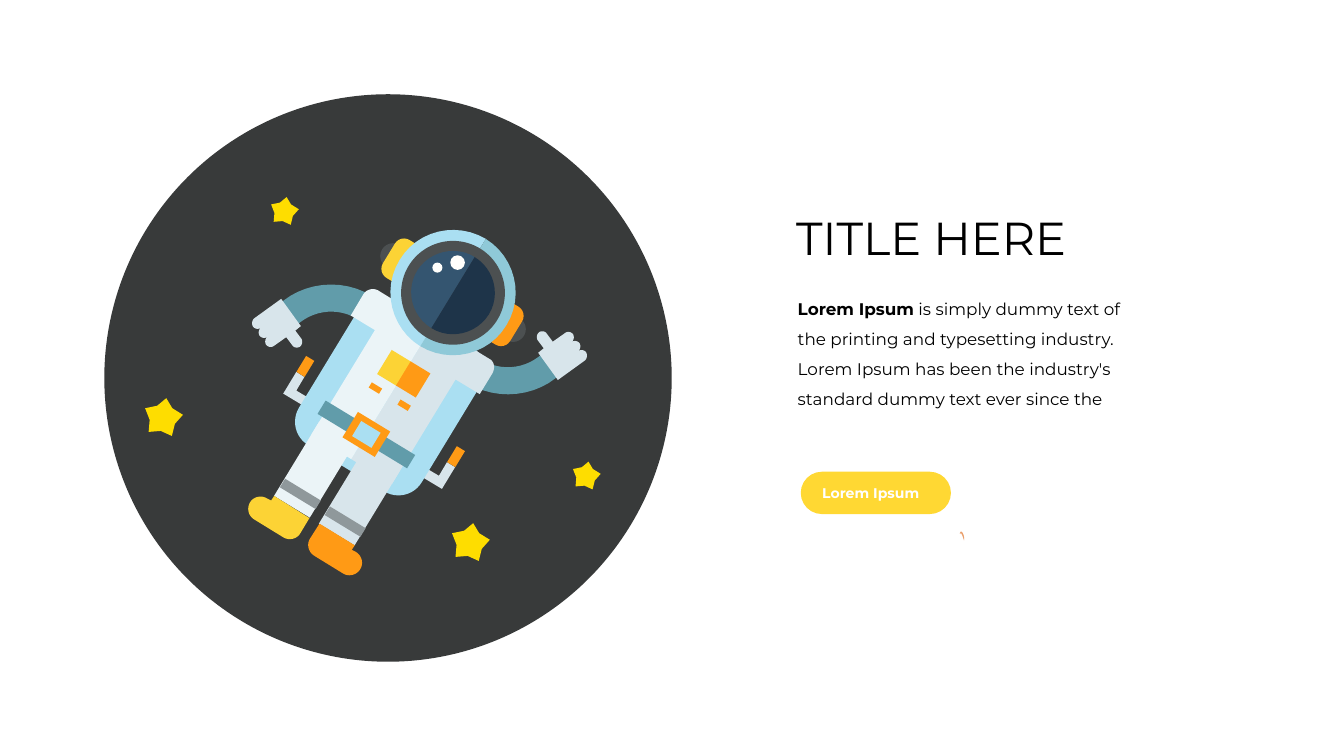
import pptx
import pptx.dml.color
import pptx.enum.shapes
import pptx.enum.text
import pptx.oxml
import pptx.util
from pptx.dml.color import RGBColor
from pptx.util import Inches

SPACE = RGBColor(0x38, 0x3A, 0x3A)
STAR = RGBColor(0xFE, 0xDD, 0x00)
YELLOW = RGBColor(0xFC, 0xD3, 0x35)
ORANGE = RGBColor(0xFF, 0x9A, 0x15)
PALE = RGBColor(0xEB, 0xF4, 0xF7)
SILVER = RGBColor(0xD8, 0xE5, 0xEB)
SKY = RGBColor(0xAA, 0xDF, 0xF2)
SKY_SHADE = RGBColor(0x8F, 0xC9, 0xD8)
TEAL = RGBColor(0x61, 0x9C, 0xAA)
GREY = RGBColor(0x8F, 0x98, 0x9B)
CHARCOAL = RGBColor(0x4C, 0x50, 0x51)
VISOR = RGBColor(0x34, 0x55, 0x70)
VISOR_SHADE = RGBColor(0x1E, 0x34, 0x49)
GLINT = RGBColor(0xFF, 0xFF, 0xFC)
BUTTON = RGBColor(0xFF, 0xD8, 0x33)
ACCENT = RGBColor(0xEA, 0x9F, 0x6C)
BLACK = RGBColor(0, 0, 0)
WHITE = RGBColor(0xFF, 0xFF, 0xFF)

FONT = "Montserrat"
TILT = 31.3
CURVE_STEPS = 12
RECTANGLE = pptx.enum.shapes.MSO_SHAPE.RECTANGLE
ROUNDED = pptx.enum.shapes.MSO_SHAPE.ROUNDED_RECTANGLE
OVAL = pptx.enum.shapes.MSO_SHAPE.OVAL

STAR_OUTLINE = [(0.75, 0.33), (0.59, 0.51), (0.53, 0.75), (0.31, 0.65), (0.07, 0.67),
                (0.09, 0.43), (0, 0.2), (0.24, 0.15), (0.42, 0), (0.54, 0.2)]
STARS = [(9.37, 8.16, 0.55), (6.97, 9.38, 0.75), (0.88, 6.9, 0.75),
         (3.38, 2.91, 0.55), ]
ARM = [(5.41, 4.89), (4.98, 5.27), (4.62, 5.11, 4.19, 5.17, 3.88, 5.46),
       (3.52, 5.06), (3.96, 4.62, 4.77, 4.48, 5.41, 4.89)]
HAND = [(3.02, 5.48), (3.06, 5.53, 3.13, 5.54, 3.18, 5.5),
        (3.13, 5.54, 3.12, 5.61, 3.15, 5.66), (3.19, 5.71, 3.26, 5.72, 3.31, 5.68),
        (3.26, 5.72, 3.25, 5.79, 3.28, 5.84), (3.32, 5.89, 3.39, 5.9, 3.44, 5.86),
        (3.68, 5.69), (3.8, 5.85), (3.83, 5.9, 3.9, 5.91, 3.95, 5.88),
        (4, 5.84, 4.01, 5.77, 3.98, 5.72), (3.86, 5.56), (3.97, 5.47),
        (3.58, 4.93), (3.04, 5.32), (3, 5.36, 2.99, 5.43, 3.02, 5.48)]
LEFT_HANDLE = [(3.88, 6.75), (4.04, 6.48), (3.88, 6.38), (3.62, 6.81), (4.37, 7.26), (4.47, 7.1)]
RIGHT_HANDLE = [(6.71, 8.44), (6.87, 8.17), (7.03, 8.27), (6.77, 8.7), (6.02, 8.25), (6.12, 8.09)]
RIGHT_SUIT = [(7.77, 6.41), (7.52, 6.82), (7.04, 6.53), (5.78, 8.6), (4.97, 8.11),
              (6.6, 5.44), (7.71, 6.12), (7.81, 6.17, 7.83, 6.3, 7.77, 6.41)]
LEFT_SUIT = [(6.6, 5.44), (4.97, 8.11), (4.18, 7.62), (5.44, 5.55), (4.96, 5.26),
             (5.21, 4.84), (5.27, 4.74, 5.4, 4.71, 5.5, 4.76)]
HELMET = [(7.64, 3.74), (6.34, 5.87), (5.76, 5.51, 5.57, 4.74, 5.93, 4.16),
          (6.28, 3.57, 7.05, 3.39, 7.64, 3.74)]
GLASS = [(7.42, 4.1), (6.56, 5.51), (6.17, 5.27, 6.04, 4.76, 6.28, 4.37),
         (6.52, 3.99, 7.03, 3.86, 7.42, 4.1)]
LEFT_BOOT = [(3.44, 8.84), (3.38, 8.93), (3.3, 8.89), (3.19, 8.82, 3.03, 8.85, 2.96, 8.97),
             (2.89, 9.09, 2.93, 9.24, 3.05, 9.31), (3.62, 9.66),
             (3.73, 9.73, 3.89, 9.7, 3.96, 9.58), (4.14, 9.28)]
RIGHT_BOOT = [(5.04, 9.82), (4.98, 9.91), (5.06, 9.95), (5.18, 10.02, 5.22, 10.18, 5.15, 10.29),
              (5.08, 10.41, 4.92, 10.45, 4.81, 10.38), (4.24, 10.03),
              (4.12, 9.96, 4.08, 9.8, 4.15, 9.69), (4.34, 9.39)]
ACCENT_OUTLINE = [(0, 0.03), (0, 0.02, 0.01, -0.01, 0.03, 0), (0.05, 0.01, 0.07, 0.05, 0.08, 0.1),
                  (0.09, 0.15, 0.08, 0.18, 0.08, 0.17), (0.07, 0.15, 0.06, 0.1, 0.03, 0.04),
                  (0.01, 0, 0, 0.08, 0, 0.03)]


def paint(shape, colour):
    shape.shadow.inherit = False
    shape.fill.solid()
    shape.fill.fore_color.rgb = colour
    shape.line.fill.background()


def flatten(outline):
    points = [outline[0]]
    for step in outline[1:]:
        if len(step) == 2:
            points.append(step)
            continue
        corners = [points[-1], step[:2], step[2:4], step[4:]]
        for index in range(1, CURVE_STEPS + 1):
            t = index / CURVE_STEPS
            weights = ((1 - t) ** 3, 3 * t * (1 - t) ** 2, 3 * t * t * (1 - t), t ** 3)
            points.append(tuple(sum(w * c[axis] for w, c in zip(weights, corners))
                                for axis in (0, 1)))
    return points


def turn_around(outline, sum_x, sum_y):
    return [tuple((sum_y if index % 2 else sum_x) - value for index, value in enumerate(step))
            for step in outline]


def add_outline(shapes, left, top, outline, colour, scale=1):
    points = [(Inches(left + x * scale), Inches(top + y * scale)) for x, y in flatten(outline)]
    builder = shapes.build_freeform(*points[0], scale=1.0)
    builder.add_line_segments(points[1:], close=True)
    paint(builder.convert_to_shape(), colour)


def add_illustration(page, left, top):
    shapes = page.shapes.add_group_shape().shapes

    def outline(points, colour):
        add_outline(shapes, left, top, points, colour)

    def part(kind, center_x, center_y, width, height, colour, corner=None):
        shape = shapes.add_shape(kind, Inches(left + center_x - width / 2),
                                 Inches(top + center_y - height / 2),
                                 Inches(width), Inches(height))
        if kind != OVAL:
            shape.rotation = TILT
        if corner is not None:
            shape.adjustments[0] = corner
        paint(shape, colour)

    part(OVAL, 5.7, 6.5, 11.26, 11.26, SPACE)
    outline(LEFT_HANDLE, SILVER)
    part(RECTANGLE, 4.06, 6.27, 0.19, 0.37, ORANGE)
    outline(RIGHT_HANDLE, SILVER)
    part(RECTANGLE, 7.05, 8.06, 0.19, 0.37, ORANGE)
    part(ROUNDED, 5.74, 6.86, 2.85, 3.35, SKY, 0.19)
    for star_x, star_y, size in STARS:
        add_outline(shapes, left + star_x, top + star_y, STAR_OUTLINE, STAR, size / 0.75)
    for points, colour in ((ARM, TEAL), (HAND, SILVER)):
        outline(points, colour)
        outline(turn_around(points, 12.65, 11.47), colour)
    part(OVAL, 5.8, 4.08, 0.51, 0.51, CHARCOAL)
    part(ROUNDED, 6, 4.2, 0.66, 0.88, YELLOW, 0.32)
    part(OVAL, 8.18, 5.53, 0.51, 0.51, CHARCOAL)
    part(ROUNDED, 7.96, 5.4, 0.66, 0.88, ORANGE, 0.32)
    outline(RIGHT_SUIT, SILVER)
    outline(LEFT_SUIT, PALE)
    outline(HELMET, SKY)
    part(RECTANGLE, 5.82, 6.3, 0.45, 0.56, YELLOW)
    part(RECTANGLE, 6.2, 6.53, 0.46, 0.56, ORANGE)
    part(RECTANGLE, 5.45, 6.7, 0.24, 0.12, ORANGE)
    part(RECTANGLE, 6.02, 7.04, 0.24, 0.12, ORANGE)
    for leg_x, leg_y, colour in ((4.24, 8.32, PALE), (5.13, 8.87, SILVER)):
        part(RECTANGLE, leg_x, leg_y, 0.83, 1.72, colour)
        part(RECTANGLE, leg_x - 0.28, leg_y + 0.48, 0.83, 0.2, GREY)
    outline(turn_around(HELMET, 13.98, 9.61), SKY_SHADE)
    outline(LEFT_BOOT, YELLOW)
    outline(RIGHT_BOOT, ORANGE)
    part(RECTANGLE, 5.27, 7.62, 2.08, 0.31, TEAL)
    part(OVAL, 6.99, 4.81, 2.06, 2.06, CHARCOAL)
    outline(GLASS, VISOR)
    outline(turn_around(GLASS, 13.98, 9.61), VISOR_SHADE)
    part(OVAL, 6.68, 4.31, 0.2, 0.2, GLINT)
    part(OVAL, 7.08, 4.21, 0.29, 0.29, GLINT)
    part(RECTANGLE, 5.27, 7.62, 0.75, 0.59, ORANGE)
    part(RECTANGLE, 5.27, 7.62, 0.45, 0.35, SKY)


def add_span(para, text, size, colour, bold=False):
    span = para.add_run()
    span.text = text
    span.font.name = FONT
    span.font.size = pptx.util.Pt(size)
    span.font.bold = bold
    span.font.color.rgb = colour


def place_text(box, left, top, width, height):
    box.left, box.top = Inches(left), Inches(top)
    box.width, box.height = Inches(width), Inches(height)
    frame = box.text_frame
    frame.word_wrap = True
    frame.auto_size = pptx.enum.text.MSO_AUTO_SIZE.NONE
    frame.vertical_anchor = pptx.enum.text.MSO_ANCHOR.TOP
    para = frame.paragraphs[0]
    para.alignment = pptx.enum.text.PP_ALIGN.LEFT
    para.space_before = pptx.util.Pt(0)
    return para


def add_message(page, left, top):
    heading = place_text(page.shapes.title, left, top, 10.55, 1.21)
    add_span(heading, "TITLE HERE", 66, BLACK)

    para = place_text(page.placeholders[1], left + 0.03, top + 1.56, 7.21, 2.45)
    properties = para._p.get_or_add_pPr()
    properties.set("marL", "0")
    properties.set("indent", "0")
    properties.append(pptx.oxml.parse_xml(
        '<a:buNone xmlns:a="http://schemas.openxmlformats.org/drawingml/2006/main"/>'))
    para.line_spacing = 1.5
    add_span(para, "Lorem Ipsum", 24, BLACK, True)
    add_span(para, " is simply dummy text of the printing and typesetting industry. Lorem Ipsum "
                   "has been the industry's standard dummy text ever since the", 24, BLACK)

    add_outline(page.shapes, left + 3.35, top + 6.44, ACCENT_OUTLINE, ACCENT)
    button = page.shapes.add_shape(ROUNDED, Inches(left + 0.19), Inches(top + 5.25),
                                   Inches(2.98), Inches(0.84))
    button.adjustments[0] = 0.5
    paint(button, BUTTON)
    frame = button.text_frame
    frame.word_wrap = False
    frame.margin_right = Inches(0.3)
    frame.vertical_anchor = pptx.enum.text.MSO_ANCHOR.MIDDLE
    label = frame.paragraphs[0]
    label.alignment = pptx.enum.text.PP_ALIGN.CENTER
    add_span(label, "Lorem Ipsum", 20, WHITE, True)


def main():
    deck = pptx.Presentation()
    deck.slide_width, deck.slide_height = Inches(26.67), Inches(15)
    page = deck.slides.add_slide(deck.slide_layouts[1])
    add_illustration(page, 2, 1)
    add_message(page, 15.7, 4.11)
    deck.save("out.pptx")


if __name__ == "__main__":
    main()
